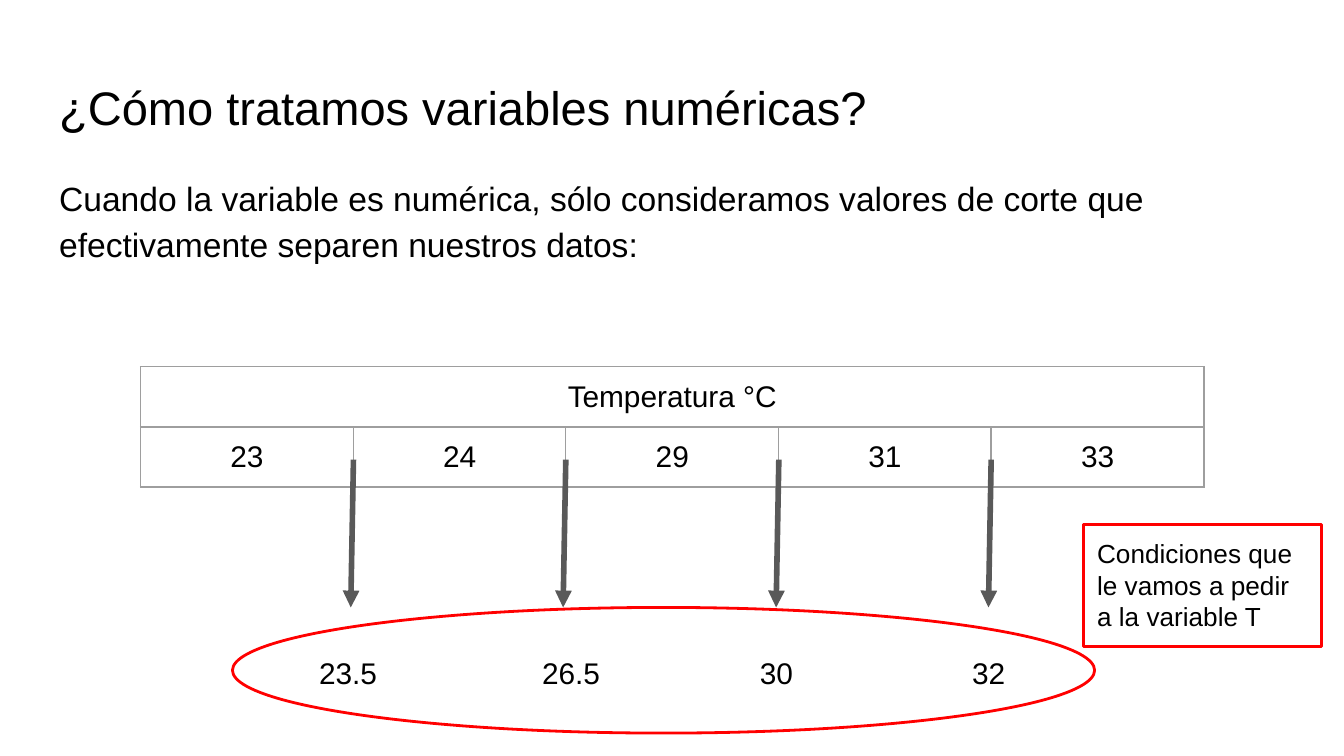
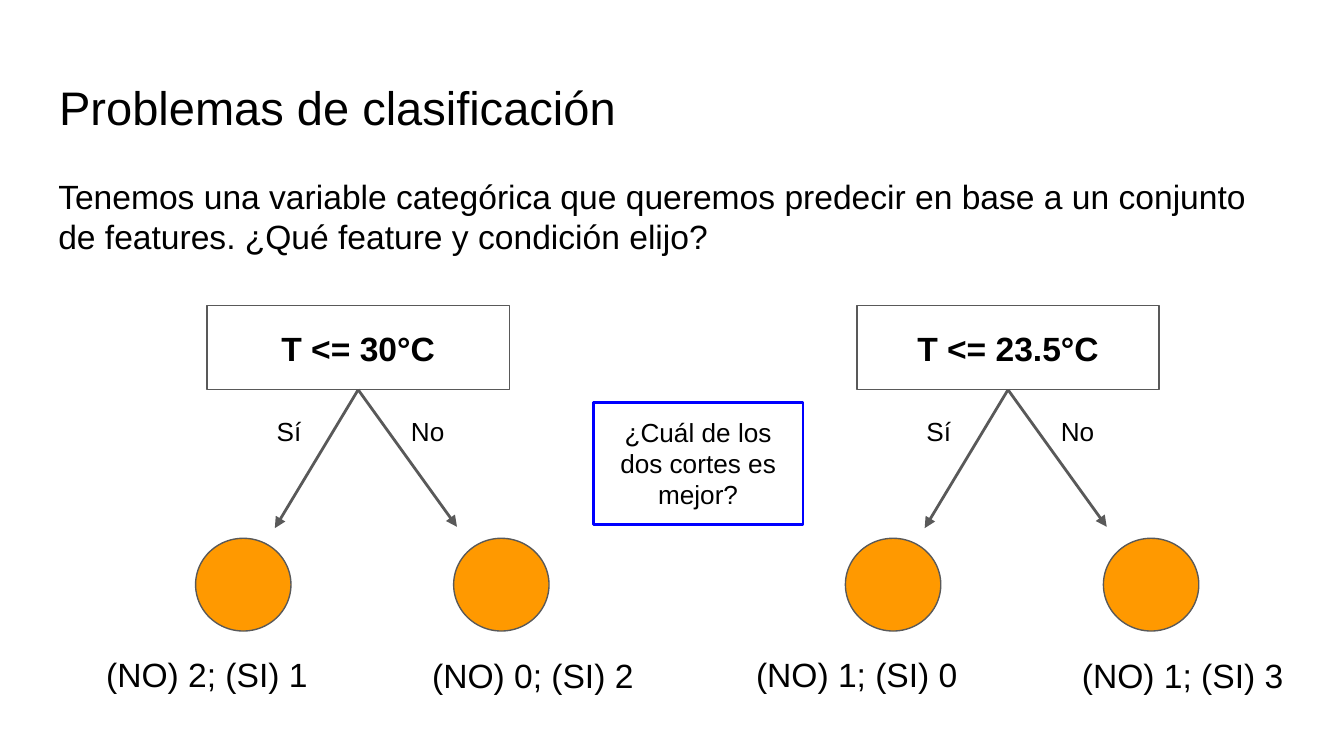
from dataclasses import dataclass

from lxml import etree
from pptx import Presentation
from pptx.dml.color import RGBColor
from pptx.enum.shapes import MSO_CONNECTOR, MSO_SHAPE
from pptx.enum.text import MSO_ANCHOR, MSO_AUTO_SIZE, PP_ALIGN
from pptx.oxml.ns import qn
from pptx.shapes.autoshape import Shape
from pptx.shapes.connector import Connector
from pptx.slide import Slide
from pptx.table import _Cell
from pptx.text.text import TextFrame
from pptx.util import Emu, Pt

RECTANGLE, ELLIPSE = MSO_SHAPE.RECTANGLE, MSO_SHAPE.OVAL
STRAIGHT = MSO_CONNECTOR.STRAIGHT
TOP, MIDDLE = MSO_ANCHOR.TOP, MSO_ANCHOR.MIDDLE
LEFT, CENTER = PP_ALIGN.LEFT, PP_ALIGN.CENTER
FIXED, GROW = MSO_AUTO_SIZE.NONE, MSO_AUTO_SIZE.SHAPE_TO_FIT_TEXT
BOTTOM_SITE = 2
TITLE_AND_BODY, TITLE_ONLY = 1, 5
EMU_PER_PX = 4572  # 200 px to the inch


@dataclass(frozen=True)
class Theme:
    font: str = "Arial"
    text: str = "000000"
    paper: str = "FFFFFF"
    outline: str = "595959"
    grid: str = "9E9E9E"
    leaf: str = "FF9900"
    highlight: str = "FF0000"
    question: str = "0000FF"
    title_size: float = 25.2
    body_size: float = 18
    value_size: float = 16
    note_size: float = 14
    thin: float = 0.75
    medium: float = 1.5
    thick: float = 3


@dataclass(frozen=True)
class Box:
    left: int
    top: int
    width: int
    height: int

    def shifted(self, dx: int) -> "Box":
        return Box(self.left + dx, self.top, self.width, self.height)

    def emu(self) -> tuple[Emu, Emu, Emu, Emu]:
        return px(self.left), px(self.top), px(self.width), px(self.height)


@dataclass(frozen=True)
class Cut:
    value: str
    left: int
    width: int


@dataclass(frozen=True)
class Branch:
    answer: str
    answer_box: Box
    arrow_end: tuple[int, int]
    leaf: Box
    count_box: Box


@dataclass(frozen=True)
class Tree:
    condition: str
    counts: tuple[str, str]
    shift: int


THEME = Theme()
SLIDE_WIDTH, SLIDE_HEIGHT = 2000, 1125
INSET = 20
TITLE_BOX = Box(68, 97, 1864, 126)

# Temperature table and its cut values
TABLE_BOX = Box(209, 546, 1583, 168)
TEMPERATURES = ("23", "24", "29", "31", "33")
CUTS = (Cut("23.5", 455, 138), Cut("26.5", 787, 138),
        Cut("30", 1111, 112), Cut("32", 1427, 158))
CUT_TOP, CUT_HEIGHT = 954, 94
ARROW_TOP, ARROW_BOTTOM, ARROW_LEAN = 684, 904, 4

# One decision tree, repeated with a shift
CONDITION_BOX = Box(308, 455, 450, 125)
BRANCHES = (
    Branch("Sí", Box(392, 598, 94, 88), (409, 786),
           Box(291, 801, 142, 138), Box(130, 953, 356, 100)),
    Branch("No", Box(592, 598, 94, 88), (680, 784),
           Box(675, 801, 142, 138), Box(615, 955, 356, 100)),
)
TREES = (
    Tree("T <= 30°C", ("(NO) 2; (SI) 1", "(NO) 0; (SI) 2"), 0),
    Tree("T <= 23.5°C", ("(NO) 1; (SI) 0", "(NO) 1; (SI) 3"), 967),
)


def px(length: int) -> Emu:
    return Emu(length * EMU_PER_PX)


def rgb(color: str) -> RGBColor:
    return RGBColor.from_string(color)


def write(frame: TextFrame, text: str, size: float, align: PP_ALIGN = LEFT,
          bold: bool = False) -> None:
    """Fill a frame with one paragraph in the shared font."""
    frame.text = text
    paragraph = frame.paragraphs[0]
    paragraph.alignment = align
    paragraph.space_before = Pt(0)
    font = paragraph.font
    font.name, font.size, font.bold = THEME.font, Pt(size), bold
    font.color.rgb = rgb(THEME.text)


def set_insets(holder: TextFrame | _Cell) -> None:
    holder.margin_left = holder.margin_right = px(INSET)
    holder.margin_top = holder.margin_bottom = px(INSET)


def lay_out(frame: TextFrame, anchor: MSO_ANCHOR, fit: MSO_AUTO_SIZE) -> None:
    frame.word_wrap = True
    frame.auto_size = fit
    frame.vertical_anchor = anchor
    set_insets(frame)


def place(placeholder: Shape, box: Box, text: str, size: float) -> None:
    (placeholder.left, placeholder.top,
     placeholder.width, placeholder.height) = box.emu()
    lay_out(placeholder.text_frame, TOP, FIXED)
    write(placeholder.text_frame, text, size)


def add_slide(prs: Presentation, layout: int, title: str) -> Slide:
    slide = prs.slides.add_slide(prs.slide_layouts[layout])
    place(slide.shapes.title, TITLE_BOX, title, THEME.title_size)
    return slide


def add_text(slide: Slide, box: Box, text: str, size: float,
             align: PP_ALIGN = LEFT) -> None:
    frame = slide.shapes.add_textbox(*box.emu()).text_frame
    lay_out(frame, TOP, GROW)
    write(frame, text, size, align)


def add_outline(slide: Slide, kind: MSO_SHAPE, box: Box, color: str,
                width: float, fill: str | None = None) -> Shape:
    shape = slide.shapes.add_shape(kind, *box.emu())
    shape.shadow.inherit = False
    shape.line.color.rgb = rgb(color)
    shape.line.width = Pt(width)
    if fill is None:
        shape.fill.background()
    else:
        shape.fill.solid()
        shape.fill.fore_color.rgb = rgb(fill)
    return shape


def add_note(slide: Slide, box: Box, text: str, color: str,
             align: PP_ALIGN) -> None:
    note = add_outline(slide, RECTANGLE, box, color, THEME.medium)
    lay_out(note.text_frame, TOP, GROW)
    write(note.text_frame, text, THEME.note_size, align)


def add_arrow(slide: Slide, start: tuple[int, int], end: tuple[int, int],
              width: float) -> Connector:
    arrow = slide.shapes.add_connector(
        STRAIGHT, *(px(length) for length in (*start, *end)))
    arrow.line.color.rgb = rgb(THEME.outline)
    arrow.line.width = Pt(width)
    properties = arrow._element.spPr
    etree.SubElement(properties.find(qn("a:ln")), qn("a:tailEnd"),
                     type="triangle")
    etree.SubElement(properties, qn("a:effectLst"))
    return arrow


def style_cell(cell: _Cell, text: str) -> None:
    set_insets(cell)
    properties = cell._tc.get_or_add_tcPr()
    for side in ("a:lnL", "a:lnR", "a:lnT", "a:lnB"):
        border = etree.SubElement(properties, qn(side), w=str(Pt(THEME.thin)))
        fill = etree.SubElement(border, qn("a:solidFill"))
        etree.SubElement(fill, qn("a:srgbClr"), val=THEME.grid)
    cell.fill.background()
    write(cell.text_frame, text, THEME.value_size, CENTER)


def add_temperatures(slide: Slide, edges: list[int]) -> None:
    count = len(TEMPERATURES)
    table = slide.shapes.add_table(2, count, *TABLE_BOX.emu()).table
    table.first_row = table.horz_banding = False
    for column, left, right in zip(table.columns, edges, edges[1:]):
        column.width = px(right - left)
    heading = ("Temperatura °C",) + ("",) * (count - 1)
    for row, texts in enumerate((heading, TEMPERATURES)):
        for column, text in enumerate(texts):
            style_cell(table.cell(row, column), text)
    table.cell(0, 0).merge(table.cell(0, count - 1))


def build_numeric_variables(prs: Presentation) -> None:
    slide = add_slide(prs, TITLE_AND_BODY, "¿Cómo tratamos variables numéricas?")

    # Explanation without a bullet
    body = slide.placeholders[1]
    place(body, Box(68, 236, 1864, 212),
          "Cuando la variable es numérica, sólo consideramos valores de corte "
          "que efectivamente separen nuestros datos:", THEME.body_size)
    paragraph = body.text_frame.paragraphs[0]
    paragraph.line_spacing, paragraph.space_after = 1.15, Pt(12)
    properties = paragraph._p.get_or_add_pPr()
    properties.set("marL", "0")
    properties.set("indent", "0")
    bullet = etree.Element(qn("a:buNone"))
    properties.find(qn("a:spcAft")).addnext(bullet)

    # Each inner column edge points to its cut value
    count = len(TEMPERATURES)
    edges = [round(TABLE_BOX.left + TABLE_BOX.width * i / count)
             for i in range(count + 1)]
    add_temperatures(slide, edges)
    for edge, cut in zip(edges[1:-1], CUTS):
        add_arrow(slide, (edge, ARROW_TOP), (edge - ARROW_LEAN, ARROW_BOTTOM),
                  THEME.thick)
        add_text(slide, Box(cut.left, CUT_TOP, cut.width, CUT_HEIGHT),
                 cut.value, THEME.value_size)

    # Cut values singled out as conditions
    add_outline(slide, ELLIPSE, Box(346, 904, 1283, 187), THEME.highlight,
                THEME.medium)
    add_note(slide, Box(1613, 780, 354, 182),
             "Condiciones que le vamos a pedir a la variable T",
             THEME.highlight, LEFT)


def add_tree(slide: Slide, tree: Tree) -> None:
    box = CONDITION_BOX.shifted(tree.shift)
    condition = add_outline(slide, RECTANGLE, box, THEME.outline, THEME.thin,
                            THEME.paper)
    lay_out(condition.text_frame, MIDDLE, FIXED)
    write(condition.text_frame, tree.condition, THEME.body_size, CENTER, True)
    root = (box.left + box.width // 2, box.top + box.height)
    for branch, count in zip(BRANCHES, tree.counts):
        end_x, end_y = branch.arrow_end
        arrow = add_arrow(slide, root, (end_x + tree.shift, end_y),
                          THEME.medium)
        arrow.begin_connect(condition, BOTTOM_SITE)
        add_text(slide, branch.answer_box.shifted(tree.shift), branch.answer,
                 THEME.note_size)
        add_outline(slide, ELLIPSE, branch.leaf.shifted(tree.shift),
                    THEME.outline, THEME.thin, THEME.leaf)
        add_text(slide, branch.count_box.shifted(tree.shift), count,
                 THEME.body_size, CENTER)


def build_classification(prs: Presentation) -> None:
    slide = add_slide(prs, TITLE_ONLY, "Problemas de clasificación")
    add_text(slide, Box(67, 242, 1838, 162),
             "Tenemos una variable categórica que queremos predecir en base a "
             "un conjunto de features. ¿Qué feature y condición elijo?",
             THEME.body_size)
    for tree in TREES:
        add_tree(slide, tree)
    add_note(slide, Box(883, 599, 312, 182), "¿Cuál de los dos cortes es mejor?",
             THEME.question, CENTER)


def main() -> None:
    prs = Presentation()
    prs.slide_width, prs.slide_height = px(SLIDE_WIDTH), px(SLIDE_HEIGHT)
    build_numeric_variables(prs)
    build_classification(prs)
    prs.save("out.pptx")


if __name__ == "__main__":
    main()
